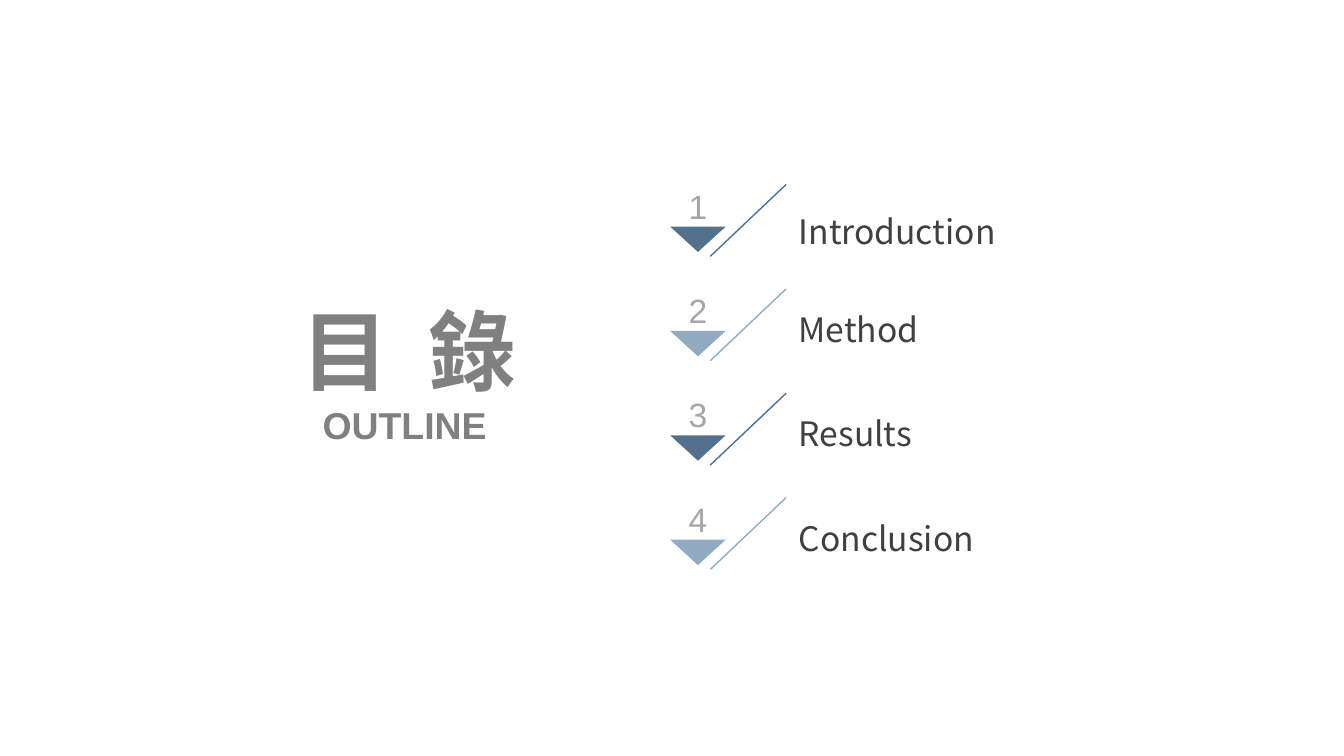
from pptx import Presentation
from pptx.dml.color import RGBColor
from pptx.enum.text import MSO_ANCHOR as Anchor, PP_ALIGN as Align
from pptx.enum.shapes import MSO_CONNECTOR as Connector
from pptx.oxml.ns import qn
from pptx.util import Cm, Pt
from lxml.etree import SubElement

TITLE = "目 錄"
SUBTITLE = "OUTLINE"
CHAPTERS = [("Introduction", 1.3), ("Method", 1), ("Results", 1), ("Conclusion", 1)]

GREY = RGBColor(0x80, 0x80, 0x80)
LIGHT_GREY = RGBColor(0xA6, 0xA6, 0xA6)
DARK_GREY = RGBColor(0x40, 0x40, 0x40)
ACCENTS = [RGBColor(0x51, 0x71, 0x8D), RGBColor(0x91, 0xAC, 0xC2)]

FIRST_ROW, ROW_PITCH = 4.65, 2.63
MARK_LEFT, MARK_WIDTH, MARK_HEIGHT = 16.89, 1.4, 0.64


def add_text(shapes, text, left, top, width, height, *, size, color, font="Arial",
             bold=False, align=Align.CENTER, anchor=Anchor.MIDDLE, leading=1, tracking=0):
    frame = shapes.add_textbox(Cm(left), Cm(top), Cm(width), Cm(height)).text_frame
    frame.word_wrap = True
    frame.vertical_anchor = anchor
    frame.margin_left = frame.margin_right = frame.margin_top = frame.margin_bottom = 0
    line = frame.paragraphs[0]
    line.alignment = align
    line.line_spacing = leading
    run = line.add_run()
    run.text = text
    run.font.name, run.font.size, run.font.bold = font, Pt(size), bold
    run.font.color.rgb = color
    props = run.font._element
    if tracking:
        props.set("spc", str(tracking * 100))
    if font != "Arial":
        SubElement(props, qn("a:ea")).set("typeface", font)


def add_chapter(slide, index, name, leading):
    shapes = slide.shapes.add_group_shape().shapes
    top = FIRST_ROW + index * ROW_PITCH
    accent = ACCENTS[index % len(ACCENTS)]

    add_text(shapes, name, 20.13, top + 0.5, 8.6, 1.02, size=24, color=DARK_GREY,
             font="Noto Sans CJK SC", align=Align.LEFT, leading=leading)

    slash = shapes.add_connector(Connector.STRAIGHT, Cm(19.81), Cm(top), Cm(17.9), Cm(top + 1.81))
    slash.line.color.rgb = accent
    slash.line.width = Pt(1)
    SubElement(slash._element.spPr, qn("a:effectLst"))

    mark_top = top + 1.06
    outline = shapes.build_freeform(Cm(MARK_LEFT), Cm(mark_top))
    outline.add_line_segments([
        (Cm(MARK_LEFT + MARK_WIDTH), Cm(mark_top)),
        (Cm(MARK_LEFT + MARK_WIDTH / 2), Cm(mark_top + MARK_HEIGHT)),
    ], close=True)
    mark = outline.convert_to_shape()
    mark.shadow.inherit = False
    mark.fill.solid()
    mark.fill.fore_color.rgb = accent
    mark.line.fill.background()

    add_text(shapes, str(index + 1), 16.84, top + 0.02, 1.5, 1.02, size=24,
             color=LIGHT_GREY, anchor=Anchor.BOTTOM)


def main():
    deck = Presentation()
    deck.slide_width, deck.slide_height = Cm(33.87), Cm(19.05)
    slide = deck.slides.add_slide(deck.slide_layouts[6])
    add_text(slide.shapes, TITLE, 6.53, 7.47, 7.57, 2.67, size=62.6, color=GREY,
             bold=True, tracking=7)
    add_text(slide.shapes, SUBTITLE, 6.45, 10.13, 7.5, 1.14, size=26.7, color=GREY,
             bold=True, anchor=Anchor.TOP)
    for index, (name, leading) in enumerate(CHAPTERS):
        add_chapter(slide, index, name, leading)
    deck.save("out.pptx")


if __name__ == "__main__":
    main()
